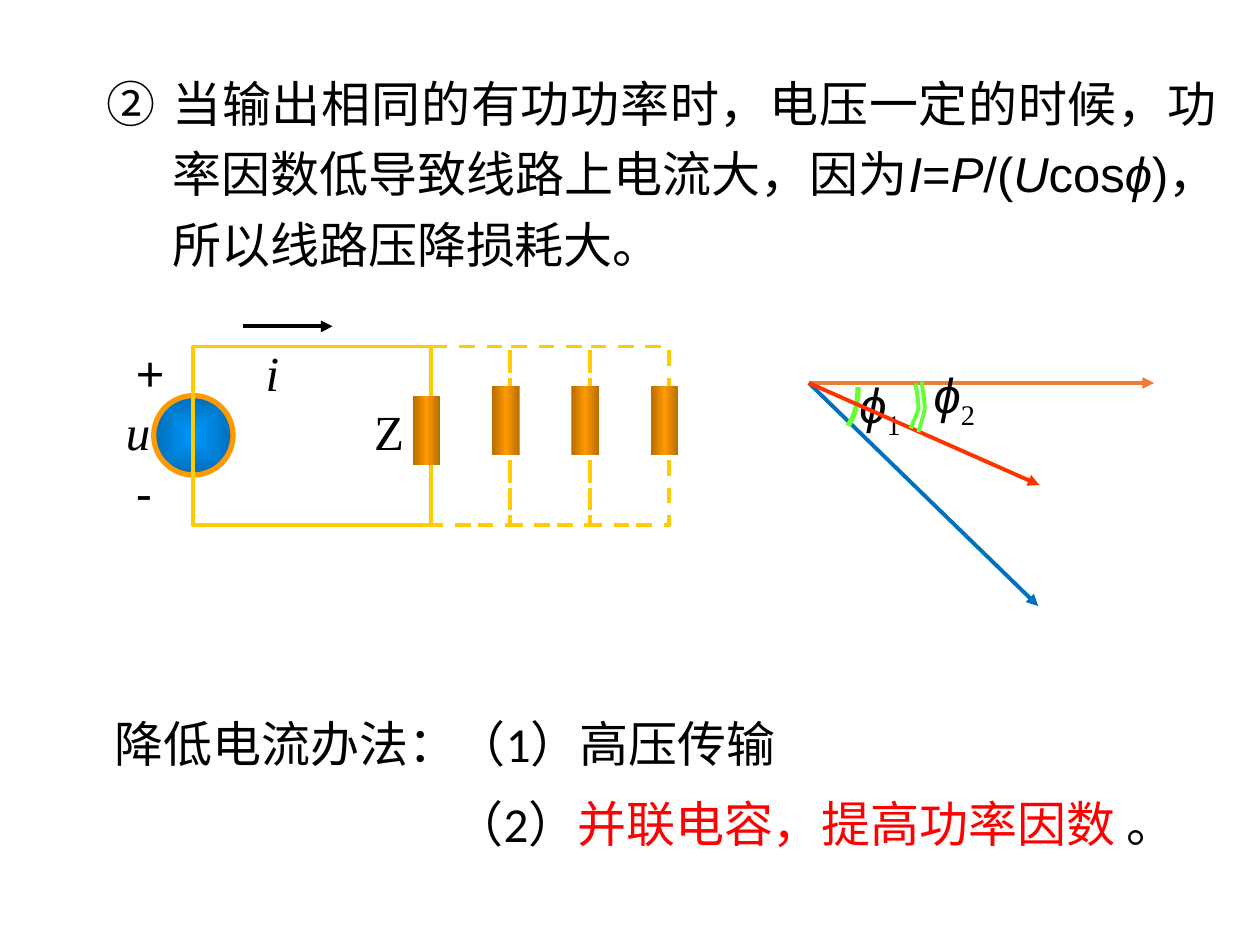
from typing import NamedTuple, Optional

from lxml.etree import SubElement
from pptx import Presentation
from pptx.dml.color import RGBColor
from pptx.enum.dml import MSO_LINE_DASH_STYLE as Dash
from pptx.enum.shapes import MSO_CONNECTOR as Connector, MSO_SHAPE as Preset
from pptx.enum.text import MSO_ANCHOR as Anchor, MSO_AUTO_SIZE as AutoSize, PP_ALIGN as Align
from pptx.oxml import parse_xml
from pptx.oxml.ns import nsdecls, qn
from pptx.util import Inches, Pt

BLACK = RGBColor(0x00, 0x00, 0x00)
RED = RGBColor(0xFF, 0x00, 0x00)
WIRE = RGBColor(0xFF, 0xCC, 0x00)
SOURCE_RING = RGBColor(0xFF, 0x99, 0x00)
VOLTAGE = RGBColor(0xED, 0x7D, 0x31)
OLD_CURRENT = RGBColor(0x00, 0x70, 0xC0)
NEW_CURRENT = RGBColor(0xFF, 0x33, 0x00)
ANGLE = RGBColor(0x66, 0xFF, 0x33)
LOAD_STOPS = ((0, "B66D00"), (50, "FF9900"), (100, "B66D00"))
SOURCE_STOPS = ((0, "0099FF"), (100, "006DB6"))
LOAD_DIRECTION = '<a:lin ang="0" scaled="1"/>'
SOURCE_DIRECTION = ('<a:path path="shape"><a:fillToRect l="50000" t="50000" '
                    'r="50000" b="50000"/></a:path>')

# The slide is a grid of 100 columns by 75 rows.
COLUMNS, ROWS = 100, 75
CELL = Inches(0.1)

# Circuit: the solid loop is three branches wide, then three dashed branches.
BRANCH = 6.3
LOOP_LEFT, LOOP_TOP, LOOP_HEIGHT = 15.3, 27.5, 14.2
LOOP_RIGHT = LOOP_LEFT + 3 * BRANCH
LOAD_WIDTH, LOAD_HEIGHT = 2.2, 5.5
LOAD_OFFSET = 1.45
ORIGIN = (64.2, 30.4)


class Box(NamedTuple):
    left: float
    top: float
    width: float
    height: float


class Run(NamedTuple):
    text: str
    font: str = "Arial"
    italic: bool = False
    color: RGBColor = BLACK
    subscript: bool = False


class Label(NamedTuple):
    box: Box
    run: Run


class Arc(NamedTuple):
    """A chain of cubic curves: the start, then three points per curve."""
    points: tuple
    weight: float


class Phasor(NamedTuple):
    tip: tuple
    color: RGBColor
    arcs: tuple = ()
    angle_box: Optional[Box] = None
    index: str = ""


PHASORS = (
    Phasor((91.6, 30.4), VOLTAGE),
    Phasor((82.4, 48.1), OLD_CURRENT,
           (Arc(((67.3, 33.8), (67.9, 32.9), (68.1, 32), (68.1, 30.7)), 3),),
           Box(67, 29.5, 5.7, 5.7), "1"),
    Phasor((82.5, 38.5), NEW_CURRENT,
           (Arc(((72.6, 30.5), (72.7, 30.4), (72.9, 31.8), (72.9, 32.4),
                 (72.8, 32.9), (72.4, 33.6), (72.3, 34)), 2.25),
            Arc(((73.2, 30.3), (73.1, 30.5), (73.4, 31.7), (73.4, 32.4),
                 (73.3, 33), (73, 33.9), (72.9, 34.3)), 2.25)),
           Box(72.9, 28.7, 5.7, 5.7), "2"),
)

LABELS = (
    Label(Box(20.1, 26.7, 5.5, 5.7), Run("i", "Times New Roman", True)),
    Label(Box(9.8, 26.7, 3.9, 5.7), Run("+")),
    Label(Box(9.8, 36.2, 3.9, 5.7), Run("-")),
    Label(Box(9, 31.4, 3.9, 5.7), Run("u", "Times New Roman", True)),
    Label(Box(28.7, 31.4, 3.9, 5.7), Run("Z", "Times New Roman")),
)

REASON = (
    Run("当输出相同的有功功率时，电压一定的时候，功率因数低导致线路上电流大，因为"),
    Run("I", italic=True), Run("="), Run("P", italic=True), Run("/("),
    Run("U", italic=True), Run("cos"), Run("ϕ", italic=True),
    Run(")，所以线路压降损耗大。"),
)
FIRST_METHOD = (Run("降低电流办法：（1）高压传输", "Calibri"),)
SECOND_METHOD = (Run("（2）", "Calibri"),
                 Run("并联电容，提高功率因数 ", "Calibri", color=RED),
                 Run("。", "Calibri"))


def cells(*counts: float) -> list[int]:
    return [round(count * CELL) for count in counts]


def add_text(shapes, box: Box, *paragraphs, wrap: bool = True, anchor=Anchor.TOP):
    frame = shapes.add_textbox(*cells(*box)).text_frame
    frame.word_wrap = wrap
    frame.auto_size = AutoSize.SHAPE_TO_FIT_TEXT
    frame.vertical_anchor = anchor
    for number, runs in enumerate(paragraphs):
        paragraph = frame.add_paragraph() if number else frame.paragraphs[0]
        for part in runs:
            run = paragraph.add_run()
            run.text = part.text
            run.font.size = Pt(28)
            run.font.name = part.font
            run.font.italic = part.italic
            run.font.color.rgb = part.color
            if part.subscript:
                run._r.get_or_add_rPr().set("baseline", "-25000")
    return frame


def set_indent(paragraph, margin: float, first_line: float):
    properties = paragraph._p.get_or_add_pPr()
    properties.set("marL", str(Inches(margin)))
    properties.set("indent", str(Inches(first_line)))
    return properties


def add_outline(shapes, preset, box: Box, color: RGBColor, weight: float = 2.25):
    shape = shapes.add_shape(preset, *cells(*box))
    shape.shadow.inherit = False
    shape.fill.background()
    shape.line.color.rgb = color
    shape.line.width = Pt(weight)
    return shape


def fill_gradient(shape, stops: tuple, direction: str) -> None:
    properties = shape._element.spPr
    properties.remove(properties.find(qn("a:noFill")))
    listed = "".join(f'<a:gs pos="{position * 1000}"><a:srgbClr val="{color}"/></a:gs>'
                     for position, color in stops)
    gradient = parse_xml(f'<a:gradFill {nsdecls("a")} rotWithShape="1">'
                         f'<a:gsLst>{listed}</a:gsLst>{direction}</a:gradFill>')
    properties.find(qn("a:prstGeom")).addnext(gradient)


def add_load(shapes, wire: float, top: float) -> None:
    """Draw the load that sits on the vertical wire at this column."""
    box = Box(wire - LOAD_OFFSET, top, LOAD_WIDTH, LOAD_HEIGHT)
    load = add_outline(shapes, Preset.RECTANGLE, box, WIRE)
    load.line.fill.background()
    fill_gradient(load, LOAD_STOPS, LOAD_DIRECTION)


def add_arrow(shapes, start: tuple, tip: tuple, color: RGBColor) -> None:
    arrow = shapes.add_connector(Connector.STRAIGHT, *cells(*start, *tip))
    arrow.line.color.rgb = color
    arrow.line.width = Pt(2.25)
    SubElement(arrow.line._get_or_add_ln(), qn("a:tailEnd"), type="triangle")
    SubElement(arrow._element.spPr, qn("a:effectLst"))


def cubic(points: tuple, t: float) -> tuple:
    weights = ((1 - t) ** 3, 3 * t * (1 - t) ** 2, 3 * t * t * (1 - t), t ** 3)
    return tuple(sum(w * p[axis] for w, p in zip(weights, points)) for axis in (0, 1))


def add_arc(shapes, arc: Arc, steps: int = 8) -> None:
    trace = [cells(*cubic(arc.points[first:first + 4], step / steps))
             for first in range(0, len(arc.points) - 1, 3)
             for step in range(1, steps + 1)]
    builder = shapes.build_freeform(*cells(*arc.points[0]))
    builder.add_line_segments(trace, close=False)
    curve = builder.convert_to_shape()
    curve.shadow.inherit = False
    curve.fill.background()
    curve.line.color.rgb = ANGLE
    curve.line.width = Pt(arc.weight)


def add_phasor(shapes, phasor: Phasor) -> None:
    add_arrow(shapes, ORIGIN, phasor.tip, phasor.color)
    for arc in phasor.arcs:
        add_arc(shapes, arc)
    if phasor.angle_box:
        symbol = (Run("ϕ", italic=True), Run(phasor.index, "Times New Roman", subscript=True))
        frame = add_text(shapes, phasor.angle_box, symbol, wrap=False, anchor=Anchor.MIDDLE)
        frame.paragraphs[0].alignment = Align.CENTER


def add_reason(shapes) -> None:
    paragraph = add_text(shapes, Box(7.5, 4.4, 90.1, 18), REASON).paragraphs[0]
    numbering = set_indent(paragraph, 0.52, -0.52)
    SubElement(numbering, qn("a:buAutoNum"), type="circleNumDbPlain", startAt="2")
    paragraph.alignment = Align.JUSTIFY
    paragraph.line_spacing = 1.2


def add_methods(shapes) -> None:
    frame = add_text(shapes, Box(8.1, 56, 83.5, 12.3), FIRST_METHOD, SECOND_METHOD,
                     anchor=Anchor.MIDDLE)
    second = frame.paragraphs[1]
    set_indent(second, 0, 2.7)
    second.line_spacing = 1.2
    second.space_before = Pt(5.6)


def add_circuit(shapes) -> None:
    source = add_outline(shapes, Preset.OVAL, Box(12.2, 31.4, 6.3, 6.3), SOURCE_RING, 3)
    fill_gradient(source, SOURCE_STOPS, SOURCE_DIRECTION)
    loop = Box(LOOP_LEFT, LOOP_TOP, 3 * BRANCH, LOOP_HEIGHT)
    add_outline(shapes, Preset.RECTANGLE, loop, WIRE)
    add_arrow(shapes, (19.3, 25.9), (26.4, 25.9), BLACK)
    for label in LABELS:
        add_text(shapes, label.box, (label.run,))
    add_load(shapes, LOOP_RIGHT, 31.4)


def add_parallel_branches(shapes) -> None:
    for number in (2, 1, 0):
        left = LOOP_RIGHT + number * BRANCH
        box = Box(left, LOOP_TOP, BRANCH, LOOP_HEIGHT)
        add_outline(shapes, Preset.RECTANGLE, box, WIRE).line.dash_style = Dash.DASH
        add_load(shapes, left + BRANCH, 30.6)


def main() -> None:
    deck = Presentation()
    deck.slide_width, deck.slide_height = cells(COLUMNS, ROWS)
    shapes = deck.slides.add_slide(deck.slide_layouts[6]).shapes
    add_parallel_branches(shapes)
    add_reason(shapes)
    for phasor in PHASORS:
        add_phasor(shapes, phasor)
    add_methods(shapes)
    add_circuit(shapes)
    deck.save("out.pptx")


if __name__ == "__main__":
    main()
